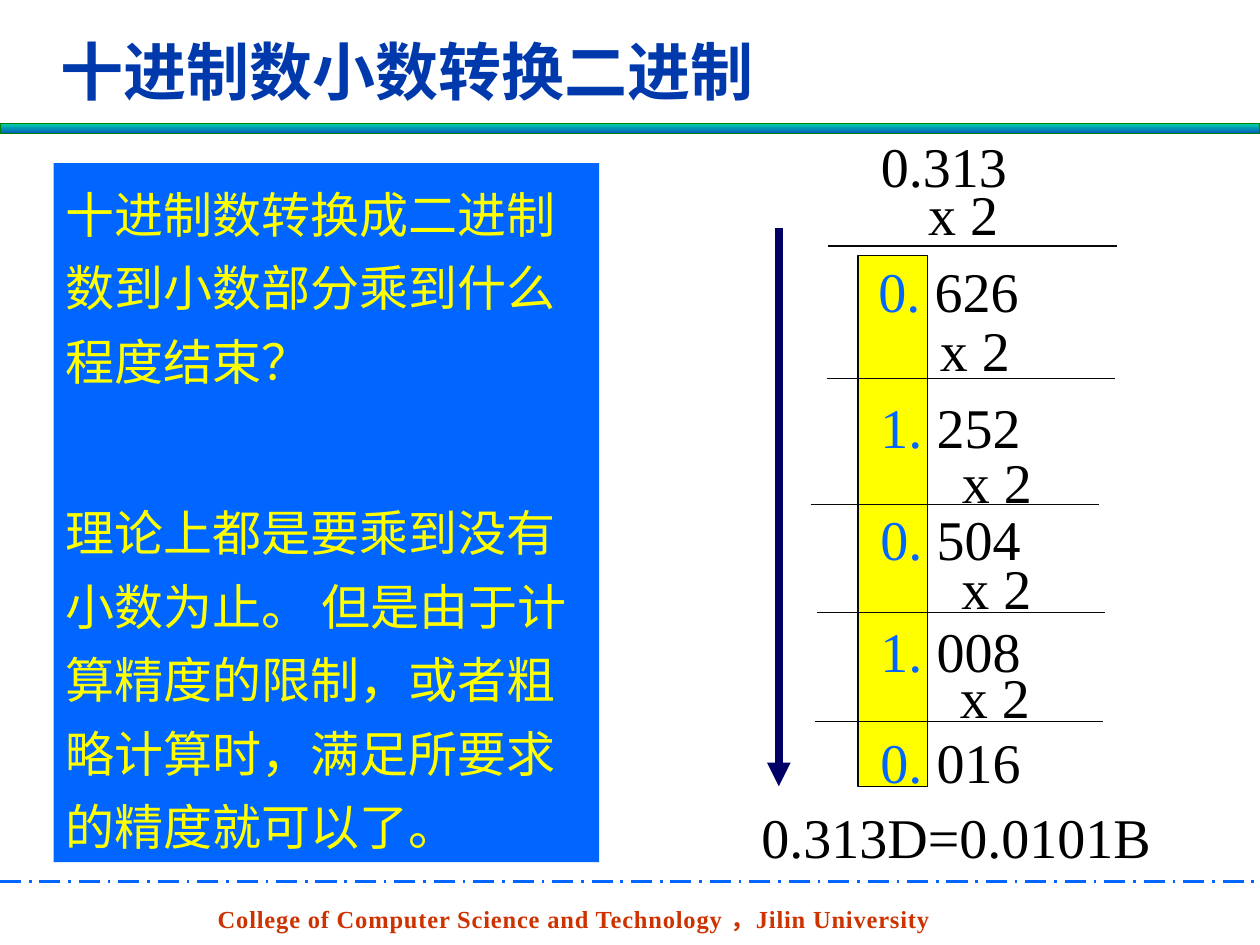
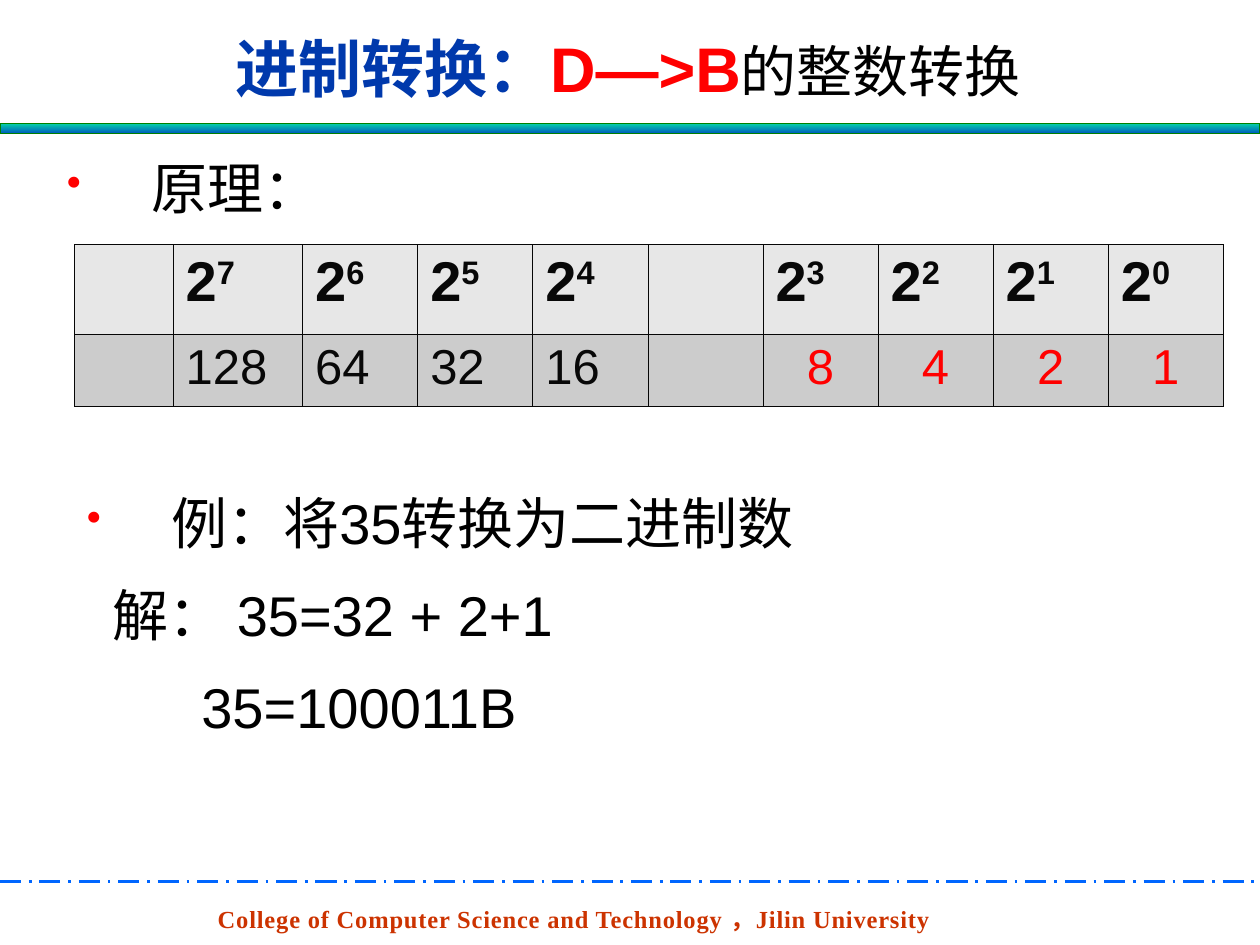
from lxml.etree import SubElement
from pptx import Presentation
from pptx.dml.color import RGBColor
from pptx.enum.dml import MSO_LINE
from pptx.enum.shapes import MSO_CONNECTOR, MSO_SHAPE
from pptx.enum.text import MSO_ANCHOR, PP_ALIGN
from pptx.oxml.ns import qn
from pptx.util import Cm, Pt

COLORS = {
    "title": "0039AC", "blue": "0066FF", "footer": "CC3300", "red": "FF0000",
    "yellow": "FFFF00", "black": "000000", "ink": "080808", "navy": "000066",
    "band_top": "03D4A8", "band_bottom": "005CBF", "band_edge": "008000",
    "header_row": "E7E7E7", "value_row": "CCCCCC", "border": "060606",
}
SERIF, SANS, CHINESE = "Times New Roman", "Arial", "Noto Sans CJK SC"


def add_run(paragraph, text, size, color="black", font=SANS, bold=False):
    """Add a styled run and return its properties element."""
    run = paragraph.add_run()
    run.text = text
    run.font.size = Pt(size)
    run.font.bold = bold
    run.font.name = font
    run.font.color.rgb = RGBColor.from_string(COLORS[color])
    properties = run._r.get_or_add_rPr()
    SubElement(properties, qn("a:ea")).set("typeface", CHINESE)
    return properties


def add_text_box(slide, left, top, width, height):
    """Add an empty text box and return its text frame."""
    box = slide.shapes.add_textbox(Cm(left), Cm(top), Cm(width), Cm(height))
    box.text_frame.word_wrap = True
    return box.text_frame


presentation = Presentation()
presentation.slide_width = Cm(25.4)
presentation.slide_height = Cm(19.05)
fraction_slide, integer_slide = [
    presentation.slides.add_slide(presentation.slide_layouts[6]) for _ in range(2)
]

# Band, footer and title of both slides
lines = []  # slide, left, top, right, bottom, colour, width
titles = [
    (fraction_slide, 0.7, 0.61, 15.01, 1.6,
     [("十进制数小数转换二进制", 36, "title", True)]),
    (integer_slide, 0.7, 0.46, 23.93, 1.8,
     [("进制转换：", 36, "title", True), ("D—>B", 36, "red", True),
      ("的整数转换", 32, "black", False)]),
]
for slide, left, top, width, height, title_runs in titles:
    footer = add_text_box(slide, 4.14, 18.09, 17, 0.86)
    footer_text = "College of Computer Science and Technology ，Jilin University"
    add_run(footer.paragraphs[0], footer_text, 14, "footer", SERIF, True).set("spc", "45")

    band = slide.shapes.add_shape(MSO_SHAPE.RECTANGLE, 0, Cm(2.49), Cm(25.4), Cm(0.2))
    band.shadow.inherit = False
    band.fill.gradient()
    band.fill.gradient_angle = 270
    for stop, position, color in zip(band.fill.gradient_stops, (0, 1),
                                     ("band_top", "band_bottom")):
        stop.position = position
        stop.color.rgb = RGBColor.from_string(COLORS[color])
    band.line.color.rgb = RGBColor.from_string(COLORS["band_edge"])
    band.line.width = Pt(0.75)
    lines.append((slide, 0, 17.77, 25.4, 17.77, "blue", 1.5))

    title = add_text_box(slide, left, top, width, height)
    title.vertical_anchor = MSO_ANCHOR.MIDDLE
    title.paragraphs[0].alignment = PP_ALIGN.CENTER
    for text, size, color, bold in title_runs:
        add_run(title.paragraphs[0], text, size, color, SANS, bold)

# Slide 1: repeated multiplication beside the explanation
digit_column = fraction_slide.shapes.add_shape(
    MSO_SHAPE.RECTANGLE, Cm(17.3), Cm(5.15), Cm(1.4), Cm(10.7))
digit_column.shadow.inherit = False
digit_column.fill.solid()
digit_column.fill.fore_color.rgb = RGBColor.from_string(COLORS["yellow"])
digit_column.line.color.rgb = RGBColor.from_string(COLORS["ink"])
digit_column.line.width = Pt(0.75)

for text, left, top, width in [("0.313", 17.51, 2.53, 3.5),
                               ("0.313D=0.0101B", 15.1, 16.05, 8.8)]:
    frame = add_text_box(fraction_slide, left, top, width, 1.63)
    add_run(frame.paragraphs[0], text, 32, font=SERIF)

# factor left and top, rule left and top, product left and top, integer digit, fraction
steps = [
    (18.46, 3.49, 16.7, 4.96, 17.46, 5.05, "0.", " 626"),
    (18.7, 6.23, 16.67, 7.63, 17.5, 7.79, "1.", " 252"),
    (19.14, 8.89, 16.34, 10.17, 17.5, 10.04, "0.", " 504"),
    (19.13, 11.03, 16.46, 12.35, 17.5, 12.3, "1.", " 008"),
    (19.1, 13.23, 16.43, 14.55, 17.5, 14.55, "0.", " 016"),
]
for (factor_left, factor_top, rule_left, rule_top,
     product_left, product_top, digit, fraction) in steps:
    factor = add_text_box(fraction_slide, factor_left, factor_top, 2.4, 1.63)
    add_run(factor.paragraphs[0], "x 2", 32, font=SERIF)
    product = add_text_box(fraction_slide, product_left, product_top, 3.61, 1.63)
    add_run(product.paragraphs[0], digit, 32, "blue", SERIF)
    add_run(product.paragraphs[0], fraction, 32, font=SERIF)
    lines.append((fraction_slide, rule_left, rule_top, rule_left + 5.81, rule_top, "ink", 0.75))
lines.append((fraction_slide, 15.7, 4.6, 15.7, 15.85, "navy", 4.5))

explanation = fraction_slide.shapes.add_shape(
    MSO_SHAPE.RECTANGLE, Cm(1.08), Cm(3.29), Cm(11), Cm(14.09))
explanation.shadow.inherit = False
explanation.fill.solid()
explanation.fill.fore_color.rgb = RGBColor.from_string(COLORS["blue"])
explanation.line.fill.background()
frame = explanation.text_frame
frame.word_wrap = True
frame.vertical_anchor = MSO_ANCHOR.TOP
question, answer = frame.paragraphs[0], frame.add_paragraph()
answer.space_before = Pt(56)
for paragraph, text in [
    (question, "十进制数转换成二进制数到小数部分乘到什么程度结束？"),
    (answer, "理论上都是要乘到没有小数为止。 但是由于计算精度的限制，"
             "或者粗略计算时，满足所要求的精度就可以了。"),
]:
    paragraph.alignment = PP_ALIGN.LEFT
    paragraph.line_spacing = Pt(42)
    add_run(paragraph, text, 28, "yellow", CHINESE)

# Slide 2: principle, weights table and example
principle = add_text_box(integer_slide, 1.1, 2.97, 23.55, 1.96)
example = add_text_box(integer_slide, 1.5, 9.73, 22.94, 7.59)
# text frame, text, left margin, bulleted
body = [
    (principle, "原理：", 1.7, True),
    (example, "例：将35转换为二进制数", 1.7, True),
    (example, "解： 35=32 + 2+1", 0.51, False),
    (example, "35=100011B", 2.31, False),
]
for frame, text, margin, bulleted in body:
    paragraph = frame.paragraphs[0]
    if paragraph.runs:
        paragraph = frame.add_paragraph()
        paragraph.space_before = Pt(10)
    paragraph.space_after = Pt(4)
    paragraph.line_spacing = Pt(38.5)
    properties = paragraph._p.get_or_add_pPr()
    properties.set("marL", str(Cm(margin)))
    if bulleted:
        properties.set("indent", str(-Cm(margin)))
        bullet_color = SubElement(properties, qn("a:buClr"))
        SubElement(bullet_color, qn("a:srgbClr")).set("val", COLORS["red"])
        SubElement(properties, qn("a:buSzPct")).set("val", "75000")
        SubElement(properties, qn("a:buChar")).set("char", "•")
    add_run(paragraph, text, 32)

exponents = [None, 7, 6, 5, 4, None, 3, 2, 1, 0]
table = integer_slide.shapes.add_table(
    2, len(exponents), Cm(1.5), Cm(4.93), Cm(23.16), Cm(3.26)).table
for column, width in zip(table.columns, [1.99, 2.61] + [2.32] * 8):
    column.width = Cm(width)
for row, height in zip(table.rows, (1.81, 1.45)):
    row.height = Cm(height)

for index, exponent in enumerate(exponents):
    power_cell, value_cell = table.cell(0, index), table.cell(1, index)
    for cell, fill in ((power_cell, "header_row"), (value_cell, "value_row")):
        properties = cell._tc.get_or_add_tcPr()
        for side in ("a:lnL", "a:lnR", "a:lnT", "a:lnB"):
            border = SubElement(properties, qn(side), w=str(Pt(0.45)))
            border_fill = SubElement(border, qn("a:solidFill"))
            SubElement(border_fill, qn("a:srgbClr")).set("val", COLORS["border"])
        cell.fill.solid()
        cell.fill.fore_color.rgb = RGBColor.from_string(COLORS[fill])
    if exponent is None:
        continue
    power = power_cell.text_frame.paragraphs[0]
    add_run(power, "2", 32, "ink", bold=True)
    add_run(power, str(exponent), 32, "ink", bold=True).set("baseline", "30000")
    value = value_cell.text_frame.paragraphs[0]
    low_half = exponent < 4
    value.alignment = PP_ALIGN.CENTER if low_half else PP_ALIGN.LEFT
    add_run(value, str(2 ** exponent), 28, "red" if low_half else "ink")

# Footer rules, multiplication rules and the reading-direction arrow
for slide, left, top, right, bottom, color, width in lines:
    line = slide.shapes.add_connector(
        MSO_CONNECTOR.STRAIGHT, Cm(left), Cm(top), Cm(right), Cm(bottom))
    line.line.color.rgb = RGBColor.from_string(COLORS[color])
    line.line.width = Pt(width)
    if color == "blue":
        line.line.dash_style = MSO_LINE.LONG_DASH_DOT
    if color == "navy":
        SubElement(line.line._get_or_add_ln(), qn("a:tailEnd")).set("type", "triangle")
    SubElement(line._element.spPr, qn("a:effectLst"))

presentation.save("out.pptx")
